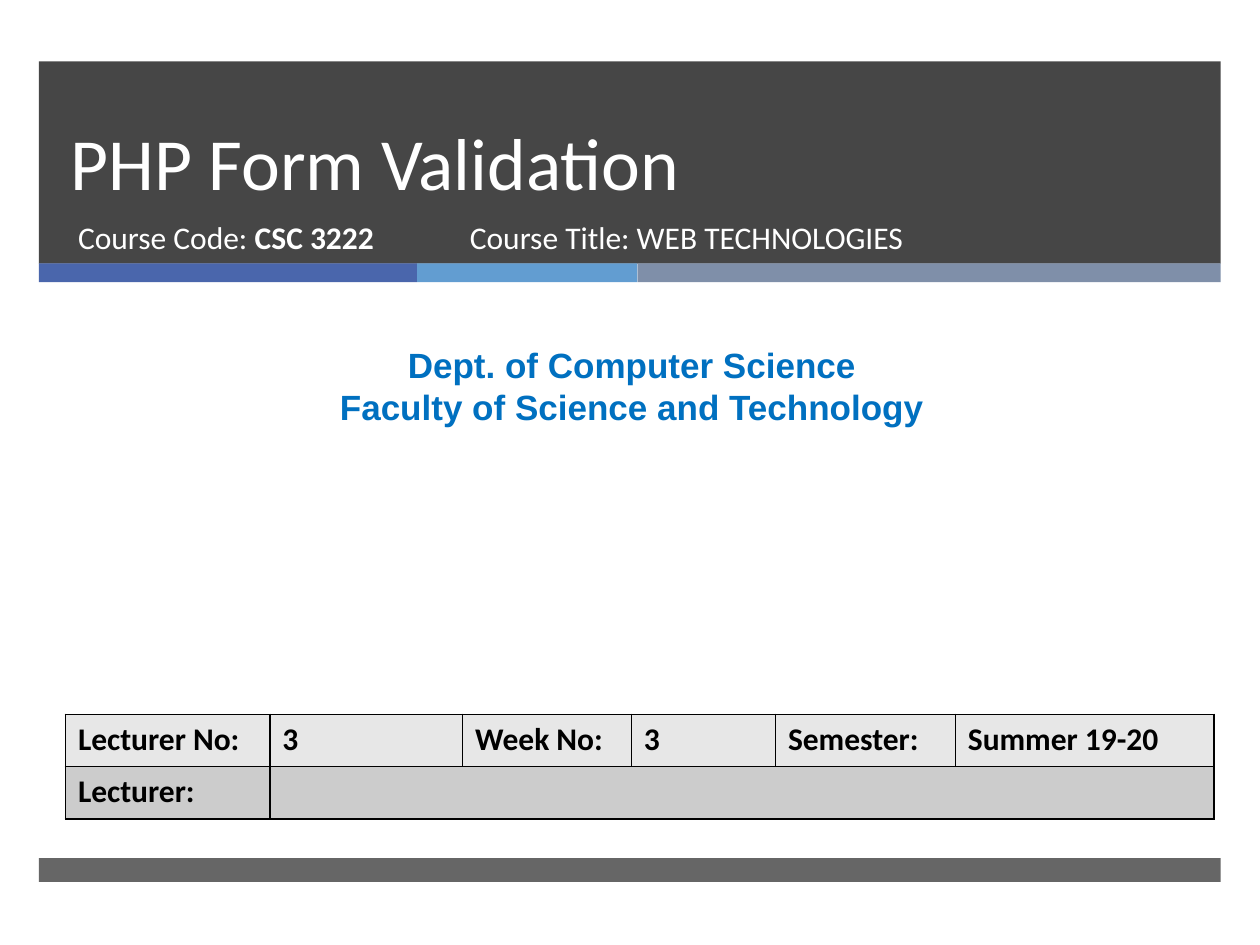
from lxml.etree import SubElement
from pptx import Presentation
from pptx.dml.color import RGBColor
from pptx.enum.shapes import MSO_SHAPE
from pptx.enum.text import MSO_ANCHOR, MSO_AUTO_SIZE, PP_ALIGN
from pptx.oxml import parse_xml
from pptx.oxml.ns import nsdecls, qn
from pptx.util import Pt

CHARCOAL = RGBColor(0x26, 0x26, 0x26)
INDIGO = RGBColor(0x4A, 0x66, 0xAC)
SKY = RGBColor(0x62, 0x9D, 0xD1)
SLATE = RGBColor(0x7F, 0x8F, 0xA9)
WHITE = RGBColor(0xFF, 0xFF, 0xFF)
BLACK = RGBColor(0, 0, 0)
BLUE = RGBColor(0, 0x70, 0xC0)
ROW_FILLS = [RGBColor(0xE7, 0xE7, 0xE7), RGBColor(0xCC, 0xCC, 0xCC)]

COURSE_FONT = {"name": "Calibri", "size": Pt(18), "bold": False}
TITLE_FONT = {"name": "Calibri", "size": Pt(42), "bold": False}
DEPARTMENT_FONT = {"name": "Arial", "size": Pt(20), "bold": True}
TABLE_FONT = {"name": "Calibri", "size": Pt(18), "bold": True}


def add_run(paragraph, text, font_format, color):
    run = paragraph.add_run()
    run.text = text
    for name, value in font_format.items():
        setattr(run.font, name, value)
    run.font.color.rgb = color
    return run


def place_text(shape, box, anchor):
    shape.left, shape.top, shape.width, shape.height = [Pt(length) for length in box]
    frame_format = {
        "word_wrap": True,
        "auto_size": MSO_AUTO_SIZE.NONE,
        "vertical_anchor": anchor,
    }
    for name, value in frame_format.items():
        setattr(shape.text_frame, name, value)
    shape.element.getparent().append(shape.element)
    paragraph = shape.text_frame.paragraphs[0]
    paragraph.alignment = PP_ALIGN.LEFT
    return paragraph


presentation = Presentation()
presentation.slide_width = Pt(720)
presentation.slide_height = Pt(540)
slide = presentation.slides.add_slide(presentation.slide_layouts[0])

bands = [
    (22.3, 35.1, 675.2, 115.6, CHARCOAL, 85),
    (22.3, 150.5, 216, 10.8, INDIGO, 100),
    (238.3, 150.5, 126, 10.8, SKY, 100),
    (364.3, 150.5, 333.2, 10.8, SLATE, 100),
    (22.3, 490.3, 675.2, 13.7, CHARCOAL, 70),
]
for left, top, width, height, color, opacity in bands:
    band = slide.shapes.add_shape(
        MSO_SHAPE.RECTANGLE, Pt(left), Pt(top), Pt(width), Pt(height)
    )
    band.shadow.inherit = False
    band.line.fill.background()
    band.fill.solid()
    band.fill.fore_color.rgb = color
    if opacity < 100:
        color_element = band.element.spPr.find(qn("a:solidFill"))[0]
        SubElement(color_element, qn("a:alpha"), val=str(opacity * 1000))

title = place_text(slide.shapes.title, (33.1, 35.3, 614.9, 85.7), MSO_ANCHOR.BOTTOM)
title.line_spacing = Pt(46)
add_run(title, "PHP Form Validation", TITLE_FONT, WHITE)

course_code = place_text(
    slide.placeholders[1], (37.4, 121, 219.6, 38.2), MSO_ANCHOR.TOP
)
course_code.space_before = Pt(0)
add_run(course_code, "Course Code: ", COURSE_FONT, WHITE)
add_run(course_code, "CSC 3222", COURSE_FONT, WHITE).font.bold = True

department_box = slide.shapes.add_textbox(0, 0, 0, 0)
department = place_text(department_box, (5.8, 193, 710.6, 55.4), MSO_ANCHOR.TOP)
faculty = department_box.text_frame.add_paragraph()
for paragraph, text in [
    (department, "Dept. of Computer Science"),
    (faculty, "Faculty of Science and Technology"),
]:
    paragraph.alignment = PP_ALIGN.CENTER
    add_run(paragraph, text, DEPARTMENT_FONT, BLUE)

column_widths = [116.8, 110.2, 96.4, 82.4, 102.8, 147.8]
rows = [
    ["Lecturer No:", "3", "Week No:", "3", "Semester:", "Summer 19-20"],
    ["Lecturer:", "", "", "", "", ""],
]
table = slide.shapes.add_table(
    len(rows), len(column_widths), Pt(37.4), Pt(408.2), Pt(sum(column_widths)), Pt(60)
).table
for column, width in zip(table.columns, column_widths):
    column.width = Pt(width)
table.cell(1, 1).merge(table.cell(1, 5))
for row_index, labels in enumerate(rows):
    table.rows[row_index].height = Pt(29.9)
    for column_index, label in enumerate(labels):
        cell = table.cell(row_index, column_index)
        cell.fill.solid()
        cell.fill.fore_color.rgb = ROW_FILLS[row_index]
        properties = cell._tc.get_or_add_tcPr()
        for position, side in enumerate(["lnL", "lnR", "lnT", "lnB"]):
            border = parse_xml(
                f'<a:{side} {nsdecls("a")} w="{Pt(1)}"><a:solidFill>'
                f'<a:srgbClr val="{BLACK}"/></a:solidFill></a:{side}>'
            )
            properties.insert(position, border)
        if label:
            add_run(cell.text_frame.paragraphs[0], label, TABLE_FONT, BLACK)

course_title = place_text(
    slide.shapes.add_textbox(0, 0, 0, 0), (261.4, 121, 327.6, 38.2), MSO_ANCHOR.TOP
)
add_run(course_title, "Course Title: WEB TECHNOLOGIES", COURSE_FONT, WHITE)

presentation.save("out.pptx")
